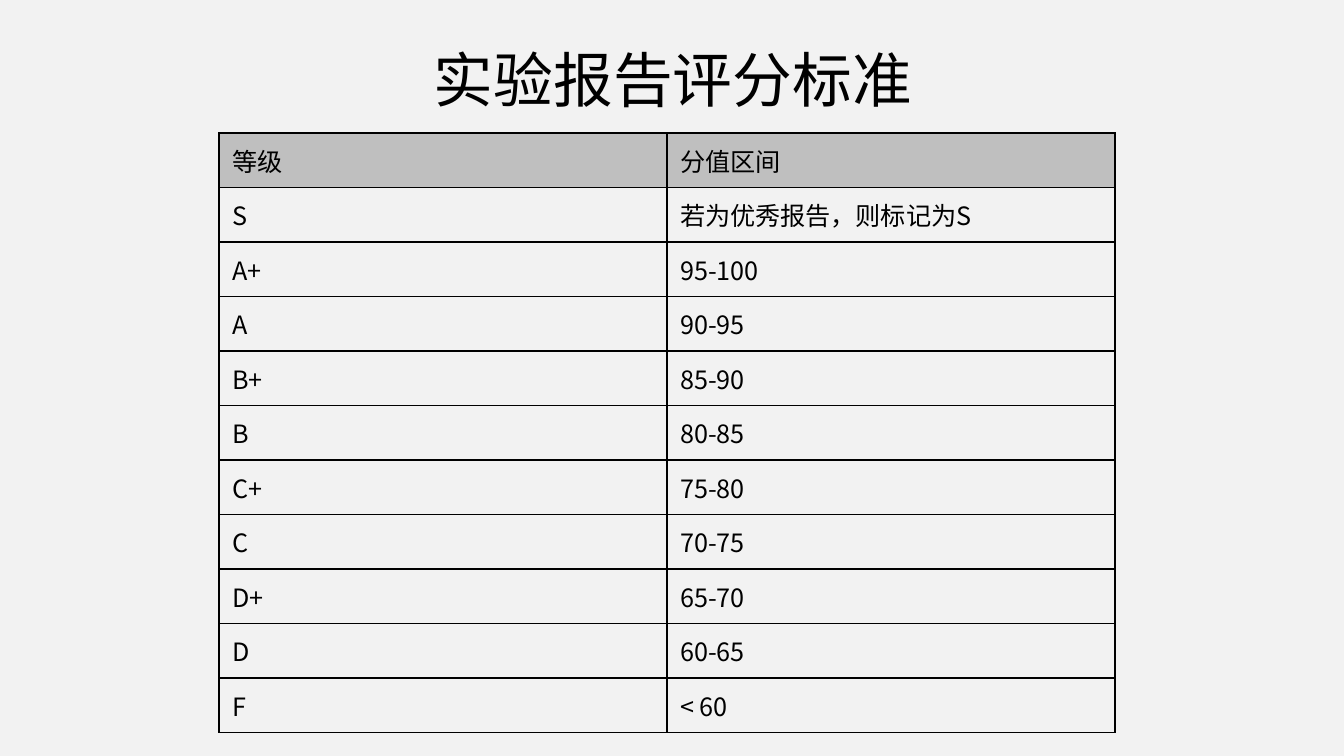
from typing import NamedTuple

from lxml.etree import SubElement
from pptx import Presentation
from pptx.dml.color import RGBColor
from pptx.enum.text import MSO_ANCHOR, MSO_AUTO_SIZE, PP_ALIGN
from pptx.oxml.ns import qn
from pptx.util import Emu, Pt

EMU_PER_PX = 914400 / 134.4
FONT = "Noto Sans CJK SC"
BLACK = RGBColor(0x00, 0x00, 0x00)
HEADER_GRAY = RGBColor(0xBF, 0xBF, 0xBF)
PAGE_GRAY = RGBColor(0xF2, 0xF2, 0xF2)


class Box(NamedTuple):
    left: int
    top: int
    width: int
    height: int


class Grade(NamedTuple):
    level: str
    score_range: str


TITLE_BOX = Box(399, 36, 548, 86)
GRADES_BOX = Box(219, 133, 896, 600)
GRADES = [
    Grade("等级", "分值区间"),
    Grade("S", "若为优秀报告，则标记为S"),
    Grade("A+", "95-100"),
    Grade("A", "90-95"),
    Grade("B+", "85-90"),
    Grade("B", "80-85"),
    Grade("C+", "75-80"),
    Grade("C", "70-75"),
    Grade("D+", "65-70"),
    Grade("D", "60-65"),
    Grade("F", "< 60"),
]


def px(length: float) -> Emu:
    return Emu(round(length * EMU_PER_PX))


def write(paragraph, text: str, size: float) -> None:
    paragraph.text = text
    paragraph.font.size = Pt(size)
    paragraph.font.color.rgb = BLACK
    paragraph.font.name = FONT
    defaults = paragraph._p.pPr.find(qn("a:defRPr"))
    SubElement(defaults, qn("a:ea"), typeface=FONT)


def draw_borders(cell) -> None:
    properties = cell._tc.get_or_add_tcPr()
    for side in ("lnL", "lnR", "lnT", "lnB"):
        border = SubElement(properties, qn(f"a:{side}"), w=str(Pt(1)))
        fill = SubElement(border, qn("a:solidFill"))
        SubElement(fill, qn("a:srgbClr"), val=str(BLACK))


def add_title(slide, box: Box, text: str) -> None:
    frame = slide.shapes.add_textbox(*map(px, box)).text_frame
    frame.word_wrap = True
    frame.auto_size = MSO_AUTO_SIZE.SHAPE_TO_FIT_TEXT
    frame.paragraphs[0].alignment = PP_ALIGN.CENTER
    write(frame.paragraphs[0], text, 32)


def add_grades(slide, box: Box, grades: list[Grade]) -> None:
    table = slide.shapes.add_table(
        len(grades), len(Grade._fields), *map(px, box)
    ).table
    table.first_row = False
    table.horz_banding = False
    for row, grade in enumerate(grades):
        table.rows[row].height = px(box.height / len(grades))
        for column, text in enumerate(grade):
            cell = table.cell(row, column)
            cell.vertical_anchor = MSO_ANCHOR.MIDDLE
            draw_borders(cell)
            if row == 0:
                cell.fill.solid()
                cell.fill.fore_color.rgb = HEADER_GRAY
            else:
                cell.fill.background()
            write(cell.text_frame.paragraphs[0], text, 13.5)


def main() -> None:
    presentation = Presentation()
    presentation.slide_width = px(1344)
    presentation.slide_height = px(756)
    slide = presentation.slides.add_slide(presentation.slide_layouts[6])
    slide.background.fill.solid()
    slide.background.fill.fore_color.rgb = PAGE_GRAY
    add_title(slide, TITLE_BOX, "实验报告评分标准")
    add_grades(slide, GRADES_BOX, GRADES)
    presentation.save("out.pptx")


if __name__ == "__main__":
    main()
